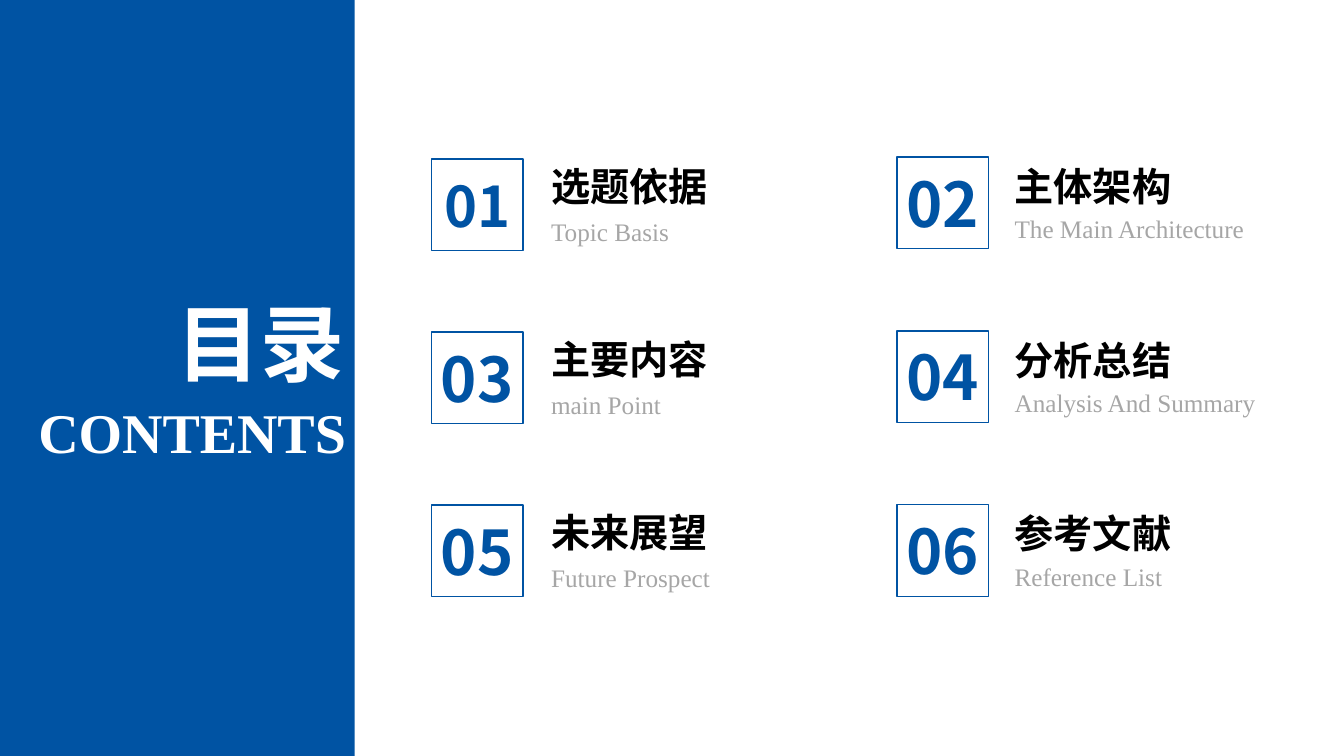
from lxml.etree import SubElement
from pptx import Presentation
from pptx.dml.color import RGBColor
from pptx.enum.shapes import MSO_SHAPE as Shape
from pptx.enum.text import MSO_ANCHOR as Anchor, PP_ALIGN as Align
from pptx.oxml.ns import qn
from pptx.util import Cm, Pt

BLUE = RGBColor(0x00, 0x53, 0xA3)
WHITE = RGBColor(0xFF, 0xFF, 0xFF)
BLACK = RGBColor(0x00, 0x00, 0x00)
GREY = RGBColor(0xA6, 0xA6, 0xA6)
SANS = "Noto Sans CJK SC"
SERIF = "Times New Roman"
SIDE = 2.31


class Page:
    """Holds the style and the current slide."""

    def __init__(self, deck):
        self.shapes = deck.slides.add_slide(deck.slide_layouts[6]).shapes

    def rect(self, x, y, w, h, fill=None, line=None):
        box = self.shapes.add_shape(Shape.RECTANGLE, Cm(x), Cm(y), Cm(w), Cm(h))
        box.shadow.inherit = False
        if fill is None:
            box.fill.background()
        else:
            box.fill.solid()
            box.fill.fore_color.rgb = fill
        if line is None:
            box.line.fill.background()
        else:
            box.line.color.rgb = line
            box.line.width = Pt(1)

    def text(self, words, x, y, w, h, size, color, face=SANS, bold=True, align=Align.LEFT):
        frame = self.shapes.add_textbox(Cm(x), Cm(y), Cm(w), Cm(h)).text_frame
        frame.word_wrap = True
        frame.vertical_anchor = Anchor.TOP
        para = frame.paragraphs[0]
        para.text = words
        para.alignment = align
        font = para.font
        font.size = Pt(size)
        font.bold = bold
        font.name = face
        font.color.rgb = color
        SubElement(font._element, qn("a:ea"), typeface=face)

    def item(self, num, title, sub, x, y, left, lift, drop, size):
        wide, high = 2.49, size * 0.0485
        self.text(title, left, y - lift, 6.65, 1.52, 28, BLACK)
        self.text(sub, left, y + drop, 6.65, 1.02, 18, GREY, SERIF, False)
        self.text(f"{num:02}", x + (SIDE - wide) / 2, y + (SIDE - high) / 2,
                  wide, high, size, BLUE, align=Align.CENTER)
        self.rect(x, y, SIDE, SIDE, line=BLUE)


ITEMS = [
    ("选题依据", "Topic Basis"),
    ("主体架构", "The Main Architecture"),
    ("主要内容", "main Point"),
    ("分析总结", "Analysis And Summary"),
    ("未来展望", "Future Prospect"),
    ("参考文献", "Reference List"),
]
COLS = [
    dict(x=10.87, top=4.01, step=4.36, left=13.64, lift=0.05, drop=1.32),
    dict(x=22.61, top=3.96, step=4.38, left=25.32, lift=0, drop=1.3),
]

deck = Presentation()
deck.slide_width, deck.slide_height = Cm(33.87), Cm(19.05)
page = Page(deck)
page.rect(0, 0, 8.94, 19.05, fill=BLUE)
page.text("目录", 2.49, 7.21, 6.45, 2.82, 60, WHITE, align=Align.RIGHT)
page.text("CONTENTS", 0, 9.88, 8.97, 1.96, 40, WHITE, SERIF, align=Align.RIGHT)

for i, (title, sub) in enumerate(ITEMS):
    row, col = divmod(i, 2)
    c = COLS[col]
    page.item(i + 1, title, sub, c["x"], c["top"] + row * c["step"],
              c["left"], c["lift"], c["drop"], 44 if i else 40)

deck.save("out.pptx")
